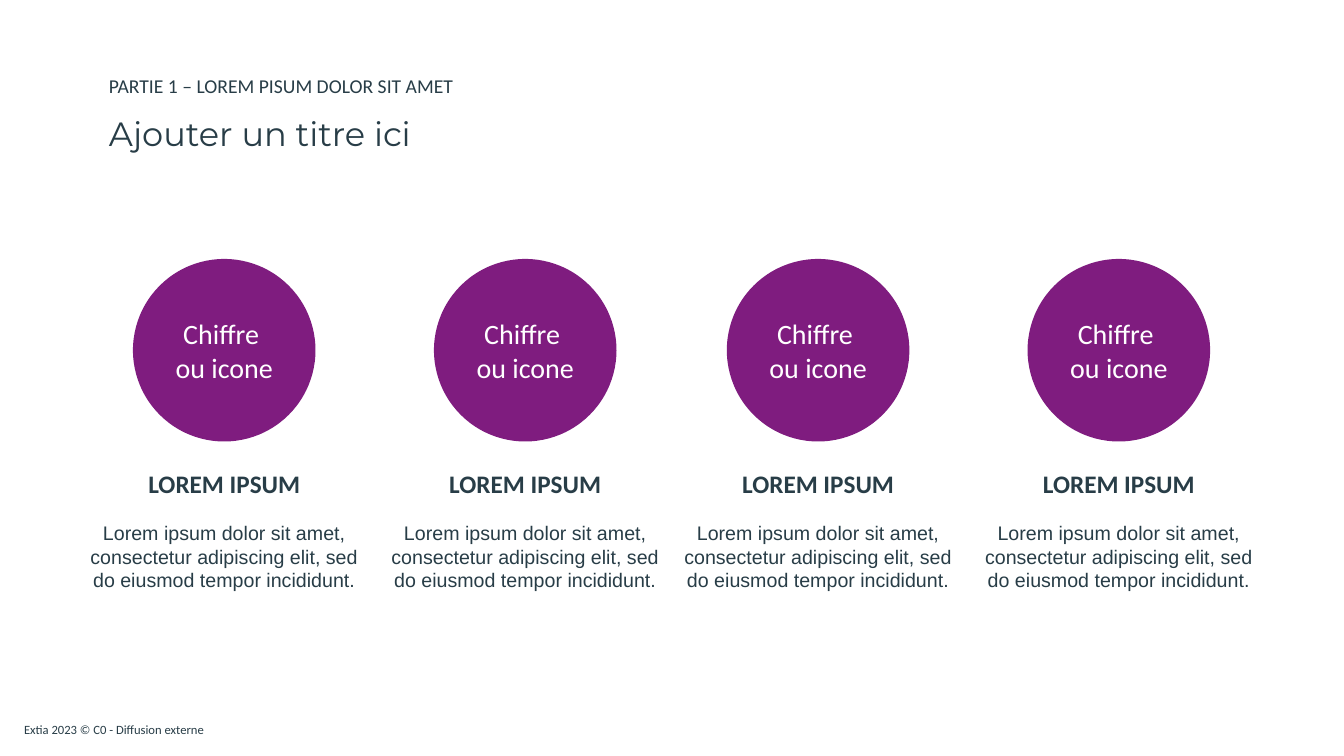
from pptx import Presentation
from pptx.dml.color import RGBColor
from pptx.enum.shapes import MSO_SHAPE
from pptx.enum.text import MSO_ANCHOR, MSO_AUTO_SIZE, PP_ALIGN
from pptx.util import Pt

OVAL = MSO_SHAPE.OVAL
TOP, MIDDLE = MSO_ANCHOR.TOP, MSO_ANCHOR.MIDDLE
LEFT, CENTER = PP_ALIGN.LEFT, PP_ALIGN.CENTER
FIXED, GROW = MSO_AUTO_SIZE.NONE, MSO_AUTO_SIZE.SHAPE_TO_FIT_TEXT

INK = RGBColor(0x28, 0x3D, 0x47)
PURPLE = RGBColor(0x7F, 0x1C, 0x7F)
WHITE = RGBColor(0xFF, 0xFF, 0xFF)

SECTION = {"name": "Calibri", "size": Pt(14)}
TITLE = {"name": "Montserrat", "size": Pt(24), "bold": False}
FIGURE = {"name": "Calibri", "size": Pt(20)}
HEADING = {"name": "Calibri", "size": Pt(18), "bold": True}
BODY = {"name": "Arial", "size": Pt(14)}
FOOTER = {"name": "Calibri", "size": Pt(9)}

HEADER_FRAME = {"margin_left": Pt(3.6), "margin_right": Pt(3.6)}
CARD_FRAME = {"auto_size": GROW}
FOOTER_FRAME = {"vertical_anchor": MIDDLE}

COLUMN_CENTERS = (160.2, 375.2, 584.4, 799.2)
LOREM = ("Lorem ipsum dolor sit amet, consectetur adipiscing elit, "
         "sed do eiusmod tempor incididunt.")


class SlideBuilder:
    def __init__(self, prs):
        self.slide = prs.slides.add_slide(prs.slide_layouts[5])

    def fill_text(self, sp, lines, font, frame, color=INK, align=LEFT, spacing=1.0):
        """Fill a shape with one paragraph per line, all in one style."""
        tf = sp.text_frame
        settings = {"word_wrap": True, "auto_size": FIXED, "vertical_anchor": TOP,
                    "margin_top": Pt(3.6), "margin_bottom": Pt(3.6), **frame}
        for key, value in settings.items():
            setattr(tf, key, value)
        for i, line in enumerate(lines):
            p = tf.add_paragraph() if i else tf.paragraphs[0]
            p.alignment, p.line_spacing = align, spacing
            p.space_before = Pt(0)
            r = p.add_run()
            r.text = line
            for key, value in font.items():
                setattr(r.font, key, value)
            r.font.color.rgb = color

    def title(self, x, y, w, h, text):
        sp = self.slide.shapes.title
        sp.left, sp.top, sp.width, sp.height = Pt(x), Pt(y), Pt(w), Pt(h)
        self.fill_text(sp, [text], TITLE, HEADER_FRAME, spacing=0.9)

    def text(self, x, y, w, h, lines, font, frame, **style):
        sp = self.slide.shapes.add_textbox(Pt(x), Pt(y), Pt(w), Pt(h))
        self.fill_text(sp, lines, font, frame, **style)

    def circle(self, x, y, diameter):
        sp = self.slide.shapes.add_shape(OVAL, Pt(x), Pt(y), Pt(diameter), Pt(diameter))
        sp.shadow.inherit = False
        sp.fill.solid()
        sp.fill.fore_color.rgb = PURPLE
        sp.line.fill.background()

    def card(self, center):
        """Circle, heading and paragraph centred on one column."""
        def centered(y, w, h, lines, font, color=INK):
            self.text(center - w / 2, y, w, h, lines, font, CARD_FRAME,
                      color=color, align=CENTER)

        centered(368.6, 213.8, 58.3, [LOREM], BODY)
        self.circle(center - 65.2, 185, 130.4)
        centered(222.5, 99.4, 55.4, ["Chiffre ", "ou icone"], FIGURE, WHITE)
        centered(331.2, 184.3, 28.8, ["LOREM IPSUM"], HEADING)


def main():
    prs = Presentation()
    prs.slide_width, prs.slide_height = Pt(960), Pt(540)
    s = SlideBuilder(prs)
    s.text(74.2, 51.1, 473, 23, ["PARTIE 1 – LOREM PISUM DOLOR SIT AMET"],
           SECTION, HEADER_FRAME, spacing=0.9)
    s.title(74.2, 80.6, 473, 31.7, "Ajouter un titre ici")
    for center in COLUMN_CENTERS:
        s.card(center)
    s.text(10.1, 511.9, 157.7, 18, ["Extia 2023 © C0 - Diffusion externe"],
           FOOTER, FOOTER_FRAME)
    prs.save("out.pptx")


if __name__ == "__main__":
    main()
